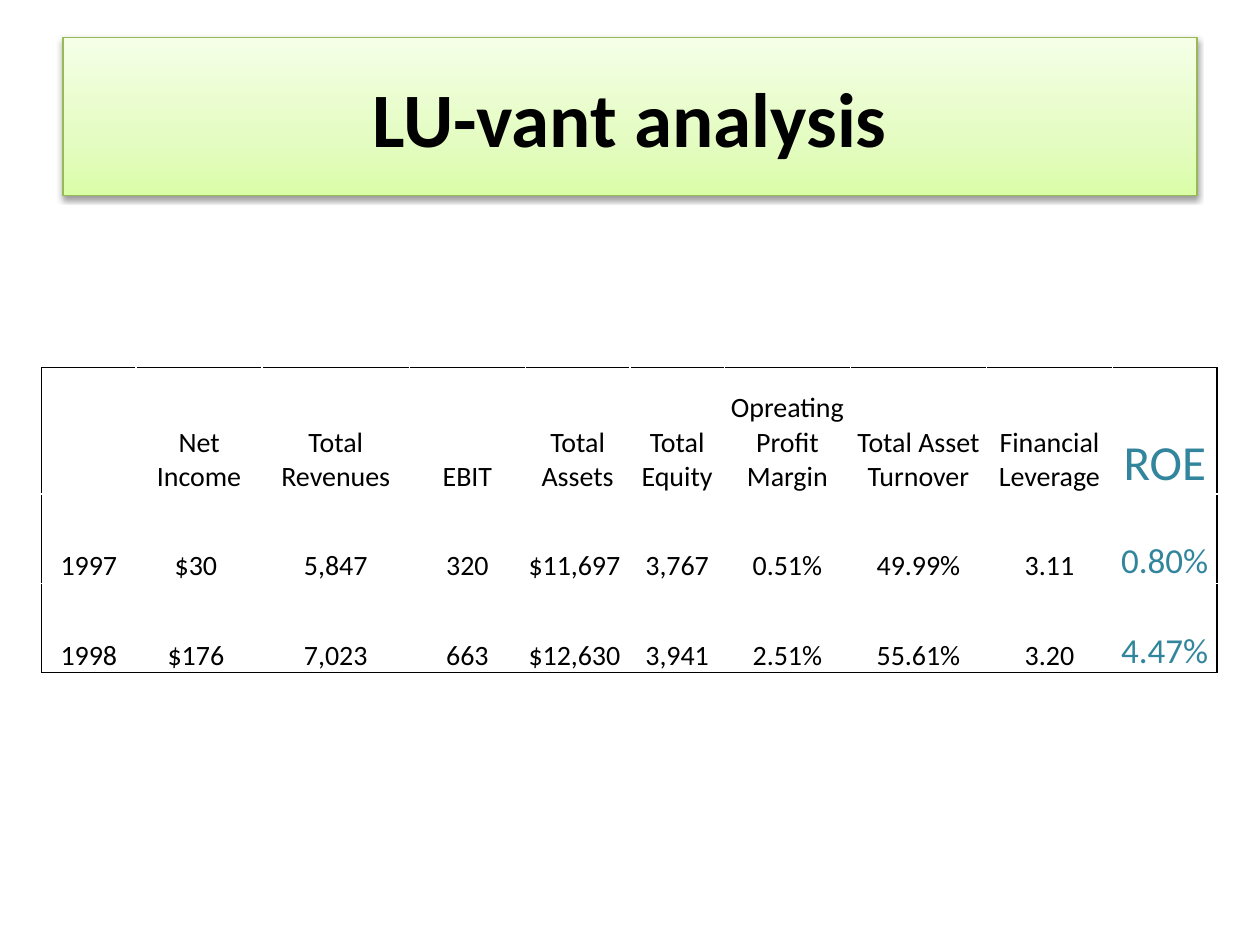
from lxml import etree
from pptx import Presentation
from pptx.dml.color import RGBColor
from pptx.enum.text import MSO_ANCHOR, PP_ALIGN
from pptx.oxml.ns import qn
from pptx.util import Inches, Pt

CENTER = PP_ALIGN.CENTER
MIDDLE, BOTTOM = MSO_ANCHOR.MIDDLE, MSO_ANCHOR.BOTTOM
FONT, BLACK, TEAL, GREEN = "Calibri", "000000", "31859C", "98B955"

# Content
TITLE = "LU-vant analysis"
ROWS = [
    ["", "Net Income", "Total Revenues", "EBIT", "Total Assets", "Total Equity",
     "Opreating Profit Margin", "Total Asset Turnover", "Financial Leverage", "ROE"],
    ["1997", "$30 ", "5,847", "320", "$11,697 ", "3,767", "0.51%", "49.99%", "3.11", "0.80%"],
    ["1998", "$176 ", "7,023", "663", "$12,630 ", "3,941", "2.51%", "55.61%", "3.20", "4.47%"],
]
COLUMN_WIDTHS = [0.75, 1, 1.17, 0.92, 0.83, 0.75, 1, 1.08, 1, 0.83]
ROW_HEIGHTS = [1, 0.71, 0.71]
ROE_SIZES = [28, 20, 20]
TITLE_GRADIENT = [(0, "DAFDA7"), (35, "E4FCC2"), (100, "F5FFE7")]


def rgb(color):
    return RGBColor.from_string(color)


def add_xml(parent, tag, **attributes):
    return etree.SubElement(parent, qn(tag), attributes)


def set_font(paragraph, size, color, bold=False):
    paragraph.alignment = CENTER
    font = paragraph.font
    font.name, font.size, font.bold = FONT, Pt(size), bold
    font.color.rgb = rgb(color)


def add_border(cell, side):
    line = add_xml(cell._tc.get_or_add_tcPr(), f"a:ln{side}", w=str(Pt(0.75)))
    add_xml(add_xml(line, "a:solidFill"), "a:srgbClr", val=BLACK)


prs = Presentation()
prs.slide_width, prs.slide_height = Inches(10), Inches(7.5)
slide = prs.slides.add_slide(prs.slide_layouts[5])

# Title banner
banner = slide.shapes.title
banner.left, banner.top, banner.width, banner.height = map(Inches, (0.5, 0.3, 9, 1.25))
banner.text_frame.text = TITLE
banner.text_frame.vertical_anchor = MIDDLE
set_font(banner.text_frame.paragraphs[0], 44, BLACK, bold=True)
banner.line.color.rgb = rgb(GREEN)
banner.line.width = Pt(0.75)

# Banner gradient, running upwards
banner.fill.gradient()
banner.fill.gradient_angle = 90
stops = banner._element.spPr.find(".//" + qn("a:gsLst"))
for stop in list(stops):
    stops.remove(stop)
for position, color in TITLE_GRADIENT:
    add_xml(add_xml(stops, "a:gs", pos=str(position * 1000)), "a:srgbClr", val=color)

# Banner shadow
shadow = banner.shadow
shadow.inherit = False
effects = banner._element.spPr.find(qn("a:effectLst"))
outer = add_xml(effects, "a:outerShdw", blurRad=str(Pt(3.1)), dist=str(Pt(1.6)),
                dir="5400000", rotWithShape="0")
add_xml(add_xml(outer, "a:srgbClr", val=BLACK), "a:alpha", val="38000")

# Ratio table
last_row, last_column = len(ROWS) - 1, len(COLUMN_WIDTHS) - 1
ratios = slide.shapes.add_table(
    len(ROWS), len(COLUMN_WIDTHS), Inches(0.33), Inches(2.92),
    Inches(sum(COLUMN_WIDTHS)), Inches(sum(ROW_HEIGHTS))).table
ratios.first_row = ratios.horz_banding = False
for column, width in zip(ratios.columns, COLUMN_WIDTHS):
    column.width = Inches(width)
for row, height in zip(ratios.rows, ROW_HEIGHTS):
    row.height = Inches(height)

for r, values in enumerate(ROWS):
    for c, value in enumerate(values):
        cell = ratios.cell(r, c)
        cell.text = value
        cell.vertical_anchor = BOTTOM
        cell.margin_left = cell.margin_right = cell.margin_top = cell.margin_bottom = 0
        is_roe = c == last_column
        set_font(cell.text_frame.paragraphs[0],
                 ROE_SIZES[r] if is_roe else 16, TEAL if is_roe else BLACK)
        # Frame around the outside only
        edges = {"L": c == 0, "R": is_roe, "T": r == 0, "B": r == last_row}
        for side, on_edge in edges.items():
            if on_edge:
                add_border(cell, side)
        cell.fill.background()

prs.save("out.pptx")
